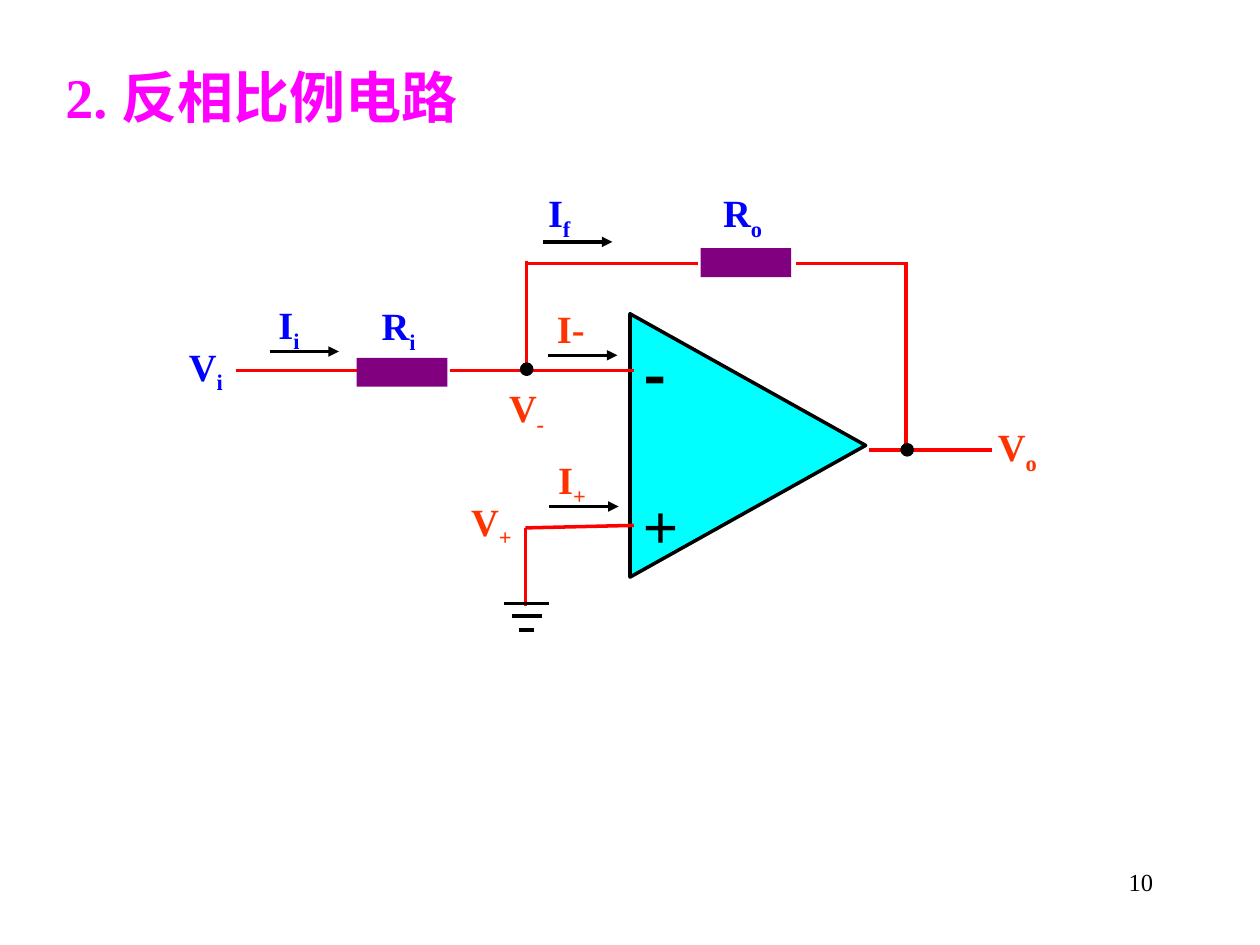
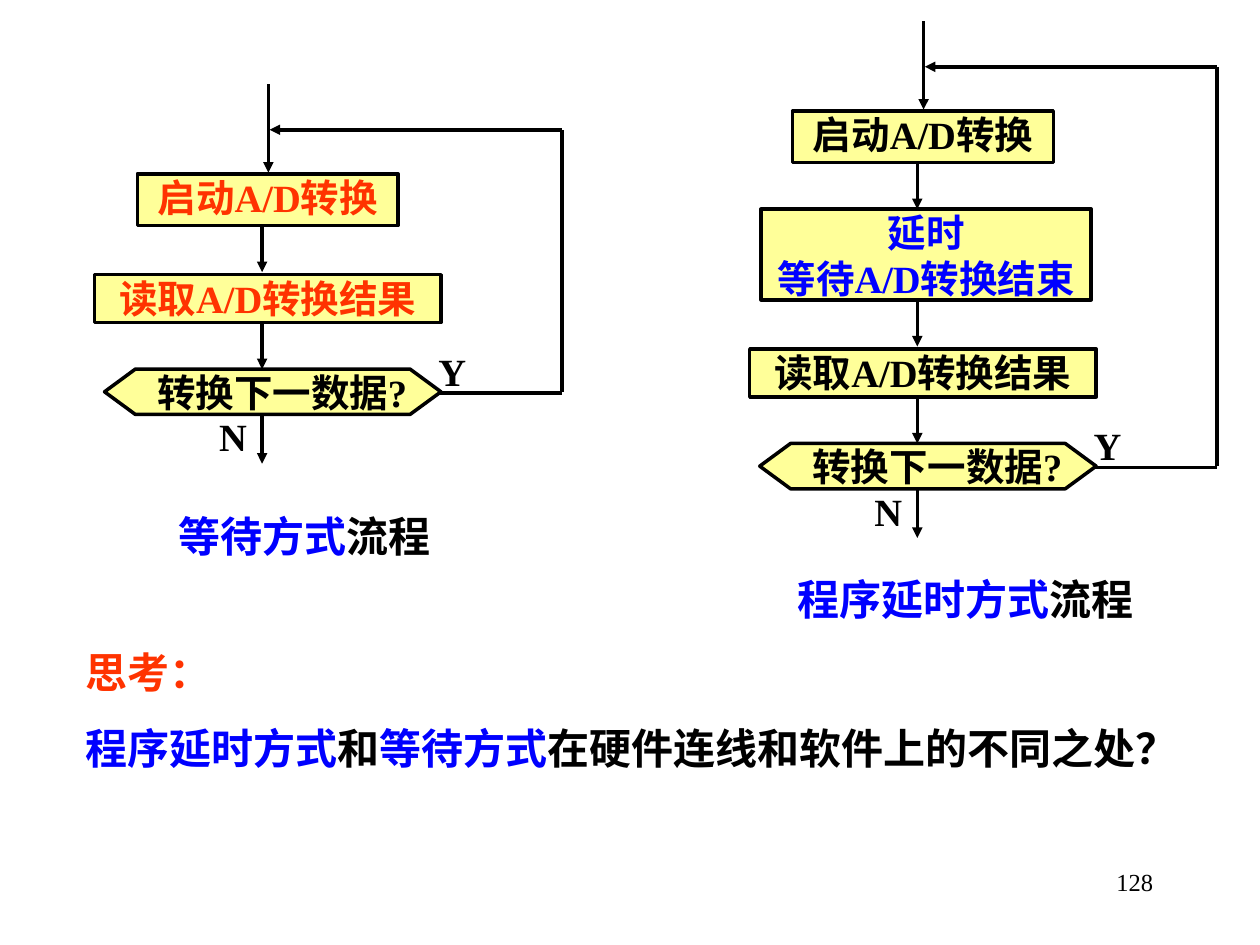
from lxml import etree
from pptx import Presentation
from pptx.dml.color import RGBColor
from pptx.enum.shapes import MSO_CONNECTOR, MSO_SHAPE
from pptx.enum.text import MSO_ANCHOR, PP_ALIGN
from pptx.oxml.ns import qn
from pptx.util import Inches, Pt

LATIN, CJK = "Times New Roman", "Noto Sans CJK SC"
BLACK, BLUE, RED, ORANGE = "000000", "0000FF", "FF0000", "FF3300"
MAGENTA, CYAN, PURPLE, YELLOW = "FF00FF", "00FFFF", "800080", "FFFF99"
PADDED = (0.1, 0.05)


def rgb(value):
    return RGBColor.from_string(value)


def add_run(p, text, color, size, bold=True, font=LATIN, baseline=0):
    r = p.add_run()
    r.text = text
    for name, value in {"size": Pt(size), "bold": bold, "name": font}.items():
        setattr(r.font, name, value)
    r.font.color.rgb = rgb(color)
    rPr = r.font._element
    etree.SubElement(rPr, qn("a:ea")).set("typeface", CJK)
    if baseline:
        rPr.set("baseline", str(baseline * 1000))


def fill_text(sp, paragraphs, size=22, align=PP_ALIGN.JUSTIFY, pad=(0, 0), gap=0, **style):
    """Write paragraphs, each a list of (text, colour) pairs, into a shape."""
    tf = sp.text_frame
    across, down = map(Inches, pad)
    frame = {"word_wrap": True, "vertical_anchor": MSO_ANCHOR.TOP,
             "margin_left": across, "margin_right": across,
             "margin_top": down, "margin_bottom": down}
    for name, value in frame.items():
        setattr(tf, name, value)
    for i, runs in enumerate(paragraphs):
        p = tf.add_paragraph() if i else tf.paragraphs[0]
        p.alignment = align
        if i and gap:
            p.space_before = Pt(gap)
        for text, color in runs:
            add_run(p, text, color, size, **style)


def add_text(s, box, paragraphs, **style):
    sp = s.shapes.add_textbox(*map(Inches, box))
    fill_text(sp, paragraphs, **style)


def add_symbol(s, x, y, main, sub, color):
    """Add a circuit quantity with its subscript."""
    sp = s.shapes.add_textbox(*map(Inches, (x, y, 0.4, 0.41)))
    fill_text(sp, [[(main, color)]])
    if sub:
        add_run(sp.text_frame.paragraphs[0], sub, color, 22, baseline=-25)


def add_block(s, kind, box, fill, outline=BLACK):
    sp = s.shapes.add_shape(kind, *map(Inches, box))
    sp.shadow.inherit = False
    sp.fill.solid()
    sp.fill.fore_color.rgb = rgb(fill)
    if outline:
        sp.line.color.rgb = rgb(outline)
        sp.line.width = Pt(2)
    else:
        sp.line.fill.background()
    return sp


def add_line(s, x1, y1, x2, y2, color=BLACK, arrow=False):
    cx = s.shapes.add_connector(MSO_CONNECTOR.STRAIGHT, *map(Inches, (x1, y1, x2, y2)))
    cx.line.color.rgb = rgb(color)
    cx.line.width = Pt(2)
    if arrow:
        etree.SubElement(cx.line._get_or_add_ln(), qn("a:tailEnd")).set("type", "triangle")
    etree.SubElement(cx._element.spPr, qn("a:effectLst"))


def add_page_number(s, number):
    add_text(s, (7.17, 6.83, 2.08, 0.5), [[(number, BLACK)]],
             size=14, align=PP_ALIGN.RIGHT, pad=PADDED, bold=False)


def add_amplifier_circuit(s):
    amplifier = add_block(s, MSO_SHAPE.ISOSCELES_TRIANGLE, (4.89, 2.6, 2.09, 1.87), CYAN)
    amplifier.rotation = 90
    add_text(s, (5.1, 3.86, 0.4, 0.56), [[("+", BLACK)]], size=36)
    add_text(s, (5.11, 2.66, 0.4, 0.56), [[("-", BLACK)]], size=36, font=CJK)

    wires = [
        (6.9, 3.57, 7.87, 3.57), (3.57, 2.94, 5.03, 2.94), (4.17, 4.19, 5.03, 4.17),
        (7.19, 3.59, 7.19, 2.09), (4.18, 2.07, 4.18, 2.97), (4.19, 2.09, 5.54, 2.09),
        (6.32, 2.09, 7.21, 2.09), (4.17, 4.19, 4.17, 4.81), (1.87, 2.94, 2.83, 2.94),
    ]
    for wire in wires:
        add_line(s, *wire, color=RED)
    for y, half in ((4.79, 0.18), (4.89, 0.12), (5, 0.06)):
        add_line(s, 4.18 - half, y, 4.18 + half, y)
    for x, y in ((5.56, 1.97), (2.83, 2.84)):
        add_block(s, MSO_SHAPE.RECTANGLE, (x, y, 0.72, 0.23), PURPLE, outline=None)
    for x, y in ((2.14, 2.79), (4.31, 1.92), (4.35, 2.82), (4.36, 4.02)):
        add_line(s, x, y, x + 0.55, y, arrow=True)
    for x, y in ((4.14, 2.89), (7.16, 3.53)):
        add_block(s, MSO_SHAPE.OVAL, (x, y, 0.08, 0.08), BLACK)

    symbols = [
        (5.74, 1.5, "R", "o", BLUE), (4.35, 1.5, "I", "f", BLUE),
        (3.03, 2.4, "R", "i", BLUE), (2.21, 2.39, "I", "i", BLUE),
        (1.5, 2.72, "V", "i", BLUE), (7.92, 3.36, "V", "o", ORANGE),
        (4.42, 2.42, "I-", "", ORANGE), (4.43, 3.62, "I", "+", ORANGE),
        (3.74, 3.95, "V", "+", ORANGE), (4.04, 3.05, "V", "-", ORANGE),
    ]
    for symbol in symbols:
        add_symbol(s, *symbol)


def add_step(s, box, color, *lines):
    sp = add_block(s, MSO_SHAPE.RECTANGLE, box, YELLOW)
    fill_text(sp, [[(line, color)] for line in lines], align=PP_ALIGN.CENTER)


def add_flow(s, left, start, read, color, delay=None):
    """Draw a conversion loop; start and read are the tops of those steps."""
    entry, spine, loop = left + 1.38, left + 1.33, left + 3.71
    add_step(s, (left + 0.34, start, 2.07, 0.41), color, "启动A/D转换")
    add_step(s, (left, read, 2.75, 0.38), color, "读取A/D转换结果")
    add_line(s, entry, start - 0.71, entry, start - 0.01, arrow=True)
    spans = [(start + 0.42, start + 0.78), (read + 0.38, read + 0.75),
             (read + 1.12, read + 1.5)]
    if delay:
        add_step(s, (left + 0.09, delay, 2.62, 0.72), BLUE, "延时", "等待A/D转换结束")
        spans.append((delay + 0.72, read - 0.02))
    for top, bottom in spans:
        add_line(s, spine, top, spine, bottom, arrow=True)

    add_line(s, left + 2.56, read + 0.94, loop, read + 0.94)
    add_line(s, loop, read + 0.93, loop, start - 0.35)
    add_line(s, loop, start - 0.35, entry + 0.01, start - 0.35, arrow=True)
    decision = add_block(s, MSO_SHAPE.HEXAGON, (left + 0.08, read + 0.75, 2.67, 0.36), YELLOW)
    decision.adjustments[0] = 0.68
    add_text(s, (left + 0.4, read + 0.75, 2.18, 0.37), [[("转换下一数据?", BLACK)]],
             align=PP_ALIGN.CENTER)
    for x, y, answer in ((2.73, 0.58, "Y"), (0.99, 1.1, "N")):
        add_text(s, (left + x, read + y, 0.4, 0.25), [[(answer, BLACK)]])


def add_caption(s, x, y, mode):
    add_text(s, (x, y, 3.67, 0.5), [[(mode, BLUE), ("流程", BLACK)]],
             size=24, align=PP_ALIGN.CENTER, pad=PADDED)


def main():
    prs = Presentation()
    prs.slide_width, prs.slide_height = Inches(10), Inches(7.5)
    blank = prs.slide_layouts[6]

    s = prs.slides.add_slide(blank)
    add_text(s, (0.42, 0.45, 3.5, 0.64), [[("2. 反相比例电路", MAGENTA)]],
             size=32, pad=PADDED)
    add_amplifier_circuit(s)
    add_page_number(s, "10")

    s = prs.slides.add_slide(blank)
    add_flow(s, 0.75, start=1.38, read=2.18, color=ORANGE)
    add_caption(s, 0.58, 4, "等待方式")
    add_flow(s, 5.95, start=0.88, read=2.77, color=BLACK, delay=1.66)
    add_caption(s, 5.83, 4.5, "程序延时方式")
    question = [("程序延时方式", BLUE), ("和", BLACK), ("等待方式", BLUE),
                ("在硬件连线和软件上的不同之处？", BLACK)]
    add_text(s, (0.58, 5.08, 9.08, 1.11), [[("思考：", ORANGE)], question],
             size=24, pad=PADDED, gap=15)
    add_page_number(s, "128")

    prs.save("out.pptx")


if __name__ == "__main__":
    main()
